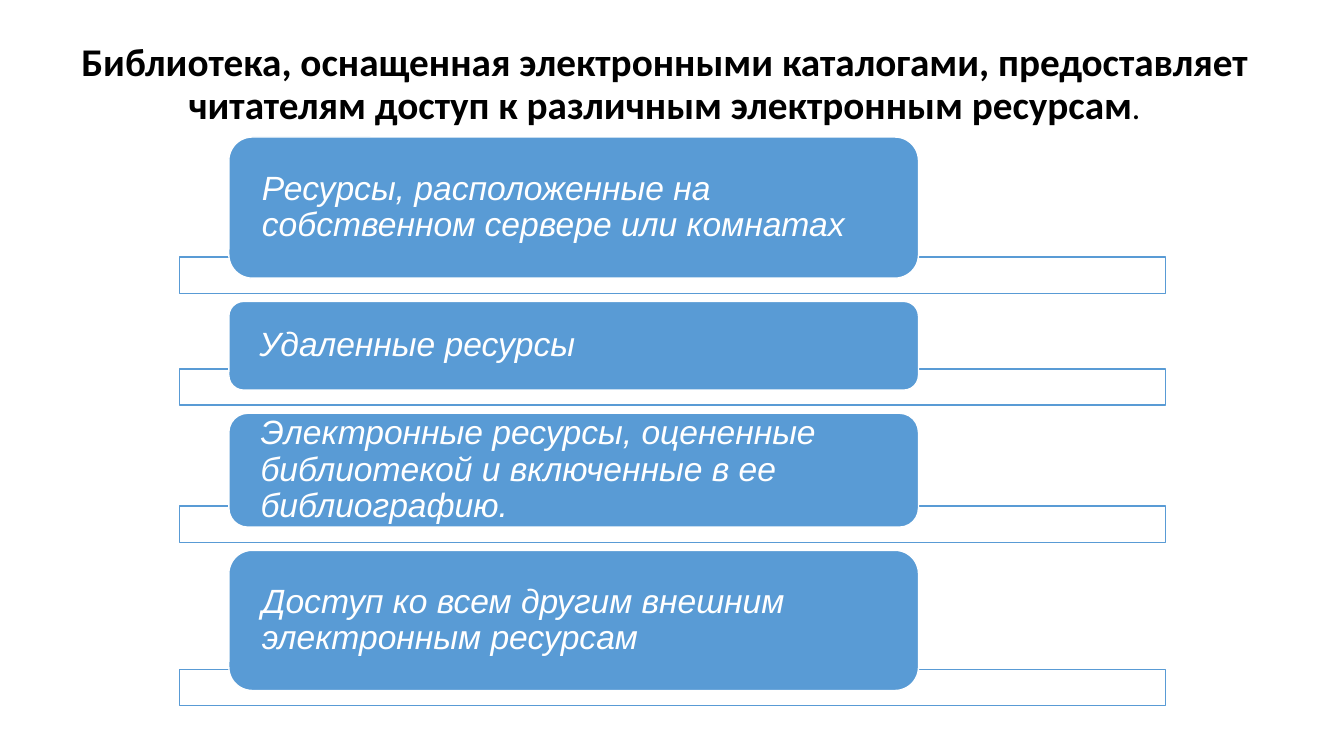
"""Build the slide on the electronic resources a library opens to its readers."""
from pptx import Presentation
from pptx.dml.color import RGBColor
from pptx.enum.shapes import MSO_SHAPE
from pptx.enum.text import MSO_ANCHOR, MSO_AUTO_SIZE, PP_ALIGN
from pptx.util import Inches, Pt

RECT, ROUNDED = MSO_SHAPE.RECTANGLE, MSO_SHAPE.ROUNDED_RECTANGLE
MIDDLE, NO_FIT = MSO_ANCHOR.MIDDLE, MSO_AUTO_SIZE.NONE
LEFT, CENTER = PP_ALIGN.LEFT, PP_ALIGN.CENTER
BLUE, WHITE, BLACK = "599BD5", "FFFFFF", "000000"
GAP, OVERLAP = 0.23, 0.21

RESOURCES = [
    ("Ресурсы, расположенные на собственном сервере или комнатах", 1.4),
    ("Удаленные ресурсы", 0.88),
    ("Электронные ресурсы, оцененные библиотекой и включенные в ее библиографию.", 1.13),
    ("Доступ ко всем другим внешним электронным ресурсам", 1.39),
]


def add_box(kind, x, y, w, h, fill, line):
    sp = s.shapes.add_shape(kind, Inches(x), Inches(y), Inches(w), Inches(h))
    sp.shadow.inherit = False
    sp.fill.solid()
    sp.fill.fore_color.rgb = RGBColor.from_string(fill)
    sp.line.color.rgb = RGBColor.from_string(line)
    sp.line.width = Pt(1)
    return sp


def style(r, name, size, color, bold=False, italic=False):
    r.font.name = name
    r.font.size = Pt(size)
    r.font.color.rgb = RGBColor.from_string(color)
    r.font.bold = bold
    r.font.italic = italic


prs = Presentation()
prs.slide_width, prs.slide_height = Inches(13.33), Inches(7.5)
s = prs.slides.add_slide(prs.slide_layouts[5])

title = s.shapes.title
title.left, title.top = Inches(0.14), Inches(0.12)
title.width, title.height = Inches(12.9), Inches(1.45)
tf = title.text_frame
tf.auto_size = NO_FIT
tf.word_wrap = True
tf.vertical_anchor = MIDDLE
p = tf.paragraphs[0]
p.alignment = CENTER
p.line_spacing = 0.9
r = p.add_run()
r.text = ("Библиотека, оснащенная электронными каталогами, предоставляет "
          "читателям доступ к различным электронным ресурсам")
style(r, "Calibri", 28, BLACK, bold=True)
r = p.add_run()
r.text = "."
style(r, "Calibri", 24, BLACK)

top = 1.36
for text, height in RESOURCES:
    add_box(RECT, 1.78, top + height - OVERLAP, 9.78, 0.36, WHITE, BLUE)
    sp = add_box(ROUNDED, 2.27, top, 6.84, height, BLUE, WHITE)
    tf = sp.text_frame
    tf.text = text
    tf.word_wrap = True
    tf.vertical_anchor = MIDDLE
    tf.margin_left = tf.margin_right = Inches(0.26)
    tf.margin_top = tf.margin_bottom = 0
    p = tf.paragraphs[0]
    p.alignment = LEFT
    p.line_spacing = 0.9
    style(p.runs[0], "Arial", 24, WHITE, italic=True)
    top += height + GAP

prs.save("out.pptx")
